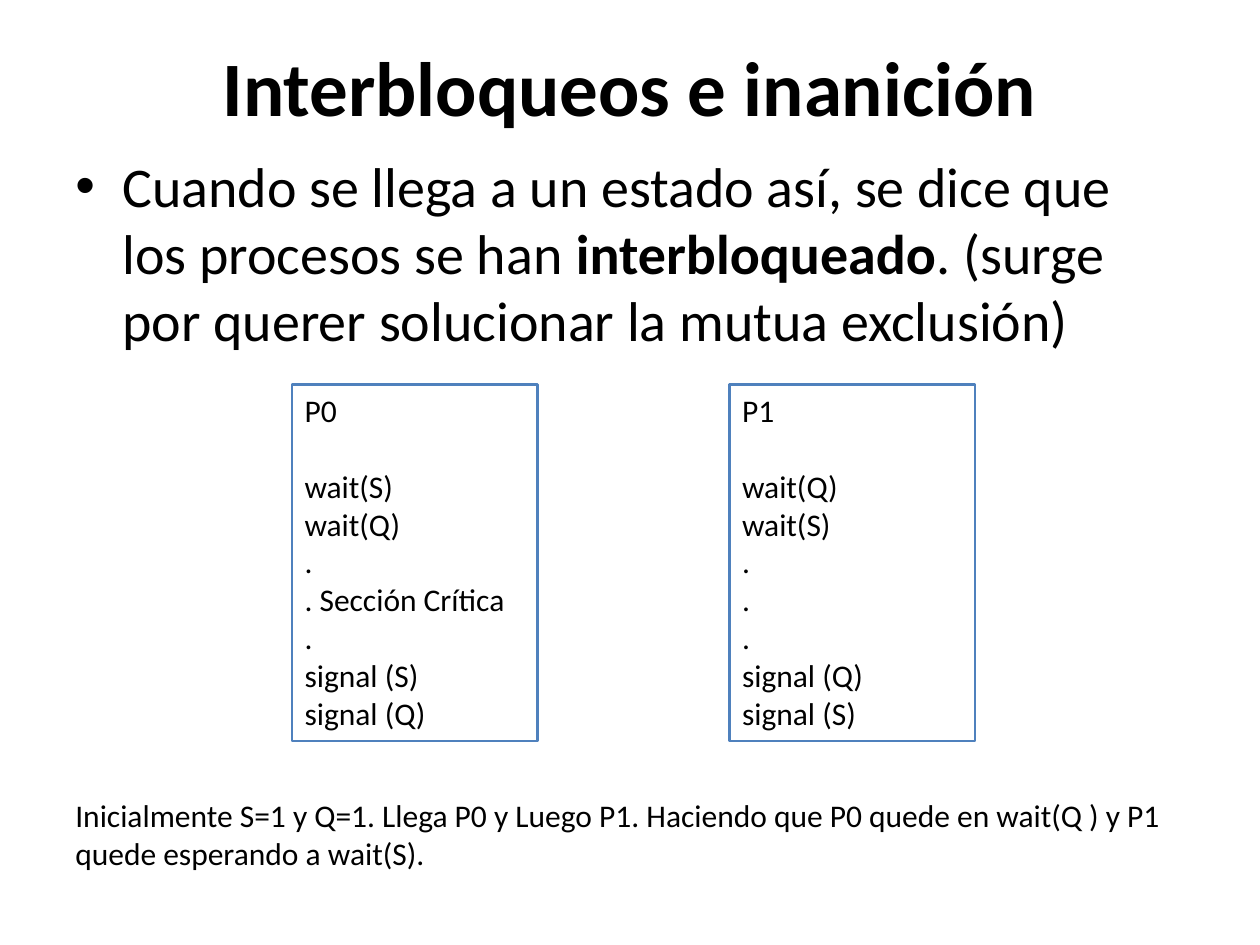
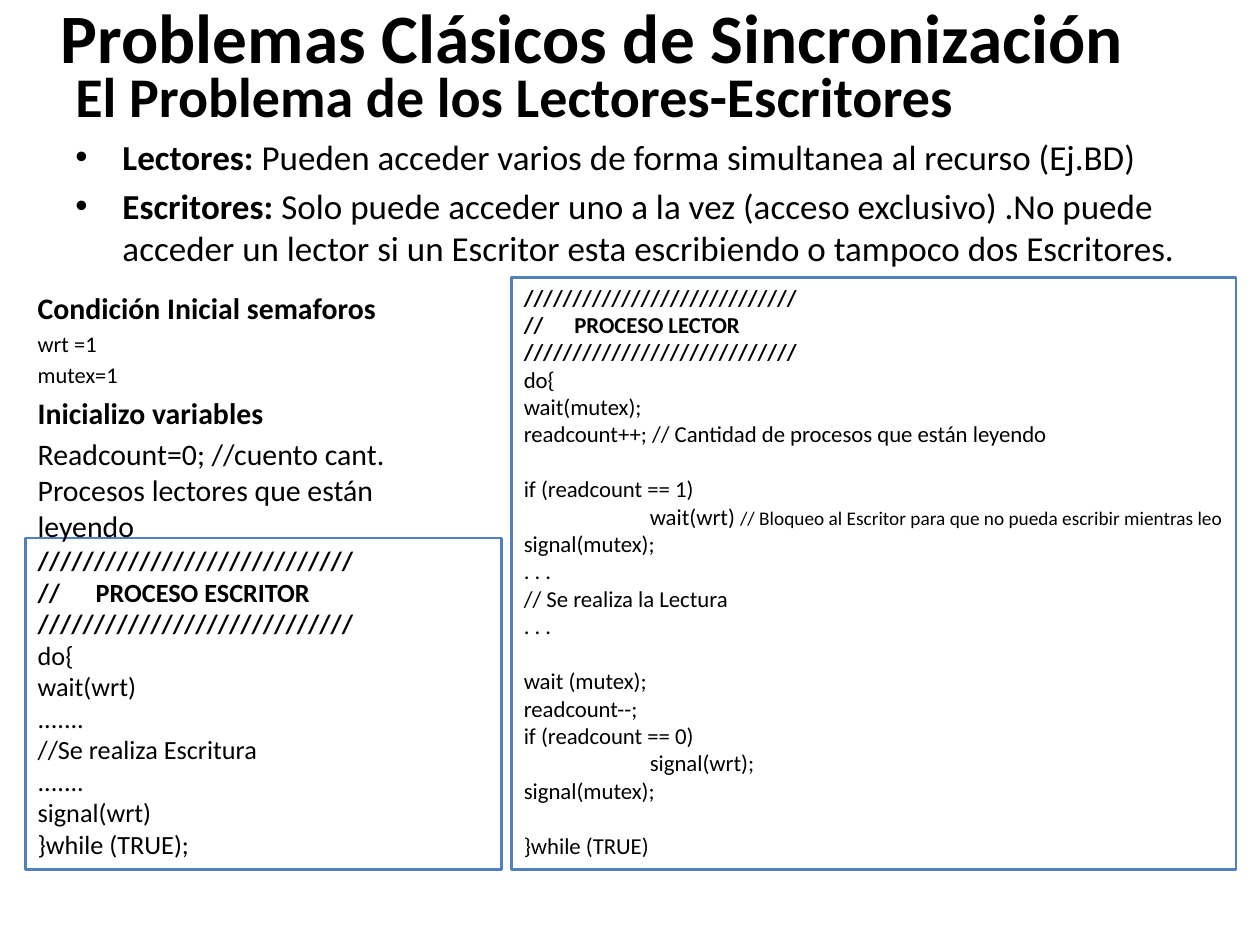
from dataclasses import dataclass

from lxml.etree import SubElement
from pptx import Presentation
from pptx.dml.color import RGBColor
from pptx.enum.shapes import MSO_SHAPE as Shape
from pptx.enum.text import MSO_ANCHOR as Anchor, MSO_AUTO_SIZE as AutoSize, PP_ALIGN as Align
from pptx.oxml.ns import qn
from pptx.util import Cm, Pt

COLORS = {"text": "000000", "border": "4F81BD", "background": "FFFFFF"}
FONT = "Calibri"
LINE_HEIGHT = 1.22
BULLET_INDENT = 0.95
CODE_INDENT = 2.54
RULE = "/" * 28


@dataclass
class Line:
    text: str
    size: float
    bold: bool = False
    before: float = 0
    indent: float = 0
    bullet: bool = False
    tab: float = 0
    note: str = ""
    note_size: float = 0


def spaced(text, size, **options):
    return Line(text, size, before=size * 0.2, **options)


def bullet(text, size):
    return spaced(text, size, indent=BULLET_INDENT, bullet=True)


def code(blocks, size):
    return [
        Line(text, size, before=size * LINE_HEIGHT if number and not position else 0)
        for number, block in enumerate(blocks)
        for position, text in enumerate(block)
    ]


def heading(name, size, tab):
    return [Line(text, size, bold=True, tab=tab) for text in (RULE, f"//\t{name}", RULE)]


class Deck:
    def __init__(self):
        self.presentation = Presentation()
        self.presentation.slide_width = Cm(25.4)
        self.presentation.slide_height = Cm(19.05)
        self.slide = None

    def color(self, name):
        return RGBColor.from_string(COLORS[name])

    def style(self, paragraph, size, bold):
        font = paragraph.font
        font.name = FONT
        font.size = Pt(size)
        font.bold = bold
        font.color.rgb = self.color("text")

    def add_slide(self, title, left, top, size):
        self.slide = self.presentation.slides.add_slide(self.presentation.slide_layouts[5])
        fill = self.slide.background.fill
        fill.solid()
        fill.fore_color.rgb = self.color("background")
        shape = self.slide.shapes.title
        shape.left, shape.top, shape.width, shape.height = Cm(left), Cm(top), Cm(22.86), Cm(3.18)
        frame = shape.text_frame
        frame.text = title
        frame.auto_size = AutoSize.NONE
        frame.vertical_anchor = Anchor.MIDDLE
        paragraph = frame.paragraphs[0]
        paragraph.alignment = Align.CENTER
        self.style(paragraph, size, True)

    def fill_text(self, shape, lines):
        frame = shape.text_frame
        frame.word_wrap = True
        frame.auto_size = AutoSize.NONE
        frame.vertical_anchor = Anchor.TOP
        for number, line in enumerate(lines):
            paragraph = frame.add_paragraph() if number else frame.paragraphs[0]
            self.fill_paragraph(paragraph, line)

    def fill_paragraph(self, paragraph, line):
        properties = paragraph._p.get_or_add_pPr()
        if line.indent:
            properties.set("marL", str(Cm(line.indent)))
        if line.bullet:
            properties.set("indent", str(-Cm(line.indent)))
            SubElement(properties, qn("a:buFont"), typeface="Arial")
            SubElement(properties, qn("a:buChar"), char="•")
        if line.tab:
            tabs = SubElement(properties, qn("a:tabLst"))
            SubElement(tabs, qn("a:tab"), pos=str(Cm(line.tab)), algn="l")
        paragraph.alignment = Align.LEFT
        paragraph.space_before = Pt(line.before)
        self.style(paragraph, line.size, line.bold)
        for position, text in enumerate(line.text.split("**")):
            if text:
                run = paragraph.add_run()
                run.text = text
                if position % 2:
                    run.font.bold = True
        if line.note:
            run = paragraph.add_run()
            run.text = line.note
            run.font.size = Pt(line.note_size)

    def add_text(self, left, top, width, height, lines):
        shape = self.slide.shapes.add_textbox(Cm(left), Cm(top), Cm(width), Cm(height))
        self.fill_text(shape, lines)

    def add_code_box(self, left, top, width, height, lines):
        shape = self.slide.shapes.add_shape(
            Shape.RECTANGLE, Cm(left), Cm(top), Cm(width), Cm(height))
        shape.shadow.inherit = False
        shape.fill.background()
        shape.line.color.rgb = self.color("border")
        shape.line.width = Pt(1.5)
        self.fill_text(shape, lines)


def add_deadlock_slide(deck):
    deck.add_slide("Interbloqueos e inanición", 1.27, 0.13, 44)
    processes = [
        (5.89, "P0", "S", "Q", ". Sección Crítica"),
        (14.71, "P1", "Q", "S", "."),
    ]
    for left, name, first, second, middle in processes:
        steps = [f"wait({first})", f"wait({second})", ".", middle, ".",
                 f"signal ({first})", f"signal ({second})"]
        deck.add_code_box(left, 7.75, 4.95, 7.19, code([[name], steps], 18))
    deck.add_text(1.27, 2.92, 22.63, 5.08, [bullet(
        "Cuando se llega a un estado así, se dice que los procesos se han "
        "**interbloqueado**. (surge por querer solucionar la mutua exclusión)", 32)])
    deck.add_text(1.27, 15.93, 22.63, 1.8, [Line(
        "Inicialmente S=1 y Q=1. Llega P0 y Luego P1. Haciendo que P0 quede en "
        "wait(Q ) y P1 quede esperando a wait(S).", 18)])


def add_readers_writers_slide(deck):
    deck.add_slide("Problemas Clásicos de Sincronización", 0.51, -0.86, 39.6)
    deck.add_text(1.27, 1.12, 22.86, 4.88, [
        spaced("El Problema de los Lectores-Escritores", 32, bold=True),
        bullet("**Lectores: **Pueden acceder varios de forma simultanea al recurso (Ej.BD)", 20),
        bullet("**Escritores: **Solo puede acceder uno a la vez (acceso exclusivo) .No puede "
               "acceder un lector si un Escritor esta escribiendo o tampoco dos Escritores.", 20),
    ])

    writer_code = code([["do{", "wait(wrt)", ".......", "//Se realiza Escritura", ".......",
                         "signal(wrt)", "}while (TRUE);"]], 15)
    deck.add_code_box(0.51, 10.85, 9.6, 6.68,
                      heading("PROCESO ESCRITOR", 15, 1.17) + writer_code)

    reader_code = code([
        ["do{", "wait(mutex);", "readcount++; // Cantidad de procesos que están leyendo"],
        ["if (readcount == 1)", "wait(wrt) ", "signal(mutex);", ". . .",
         "// Se realiza la Lectura", ". . ."],
        ["wait (mutex);", "readcount--;", "if (readcount == 0)", "signal(wrt);",
         "signal(mutex);"],
        ["}while (TRUE)"],
    ], 13)
    for condition, branch in zip(reader_code, reader_code[1:]):
        if condition.text.startswith("if"):
            branch.indent = CODE_INDENT
        if branch.text == "wait(wrt) ":
            branch.note = "// Bloqueo al Escritor para que no pueda escribir mientras leo"
            branch.note_size = 11
    deck.add_code_box(10.31, 5.59, 14.61, 11.94,
                      heading("PROCESO LECTOR", 13, 1.02) + reader_code)

    deck.add_text(0.51, 5.72, 8.38, 4.6, [
        spaced("Condición Inicial semaforos", 17, bold=True),
        spaced("wrt =1", 12.8),
        spaced("mutex=1", 12.8),
        spaced("Inicializo variables", 17, bold=True),
        spaced("Readcount=0; //cuento cant. Procesos lectores que están leyendo", 17),
    ])


def main():
    deck = Deck()
    add_deadlock_slide(deck)
    add_readers_writers_slide(deck)
    deck.presentation.save("out.pptx")


if __name__ == "__main__":
    main()
